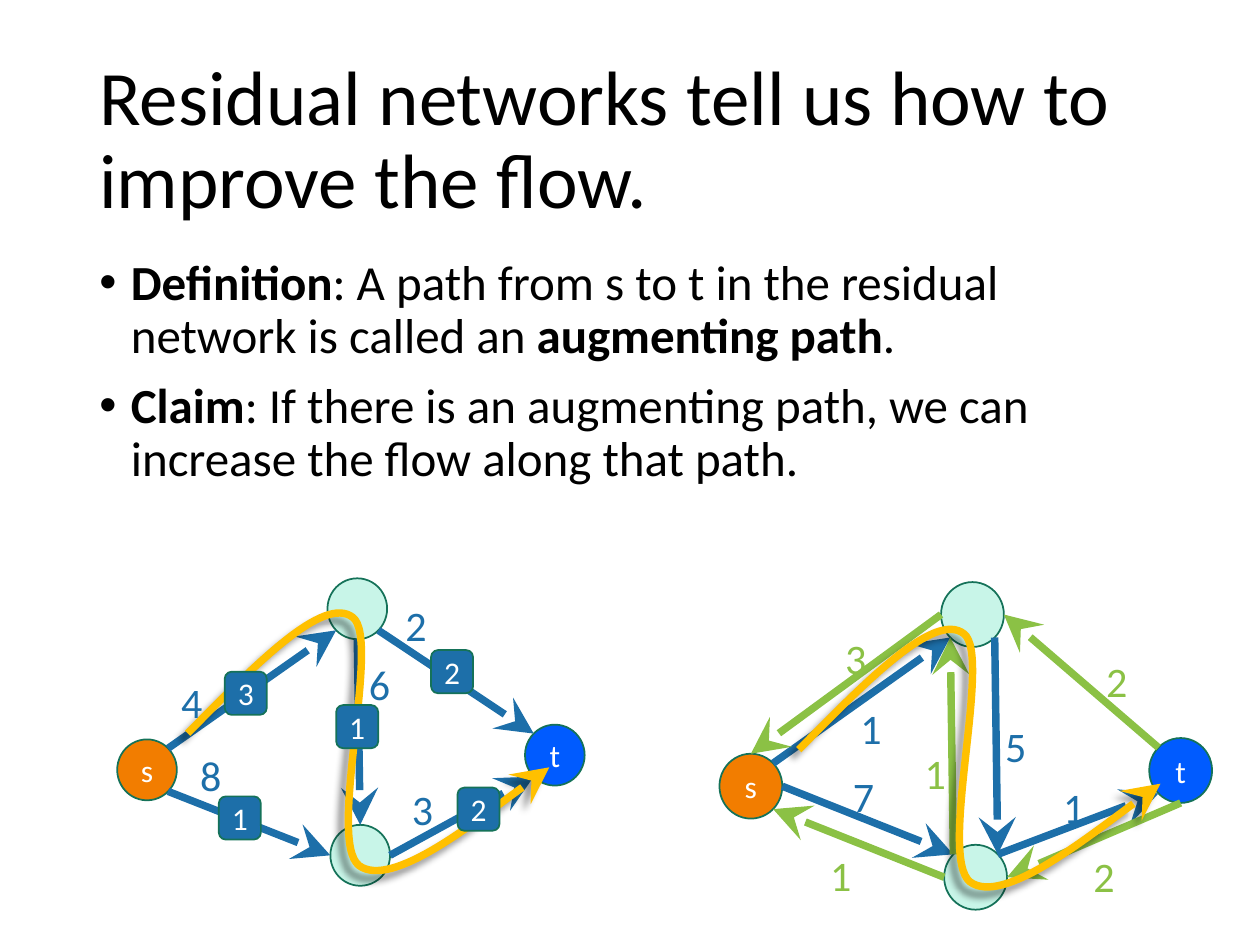
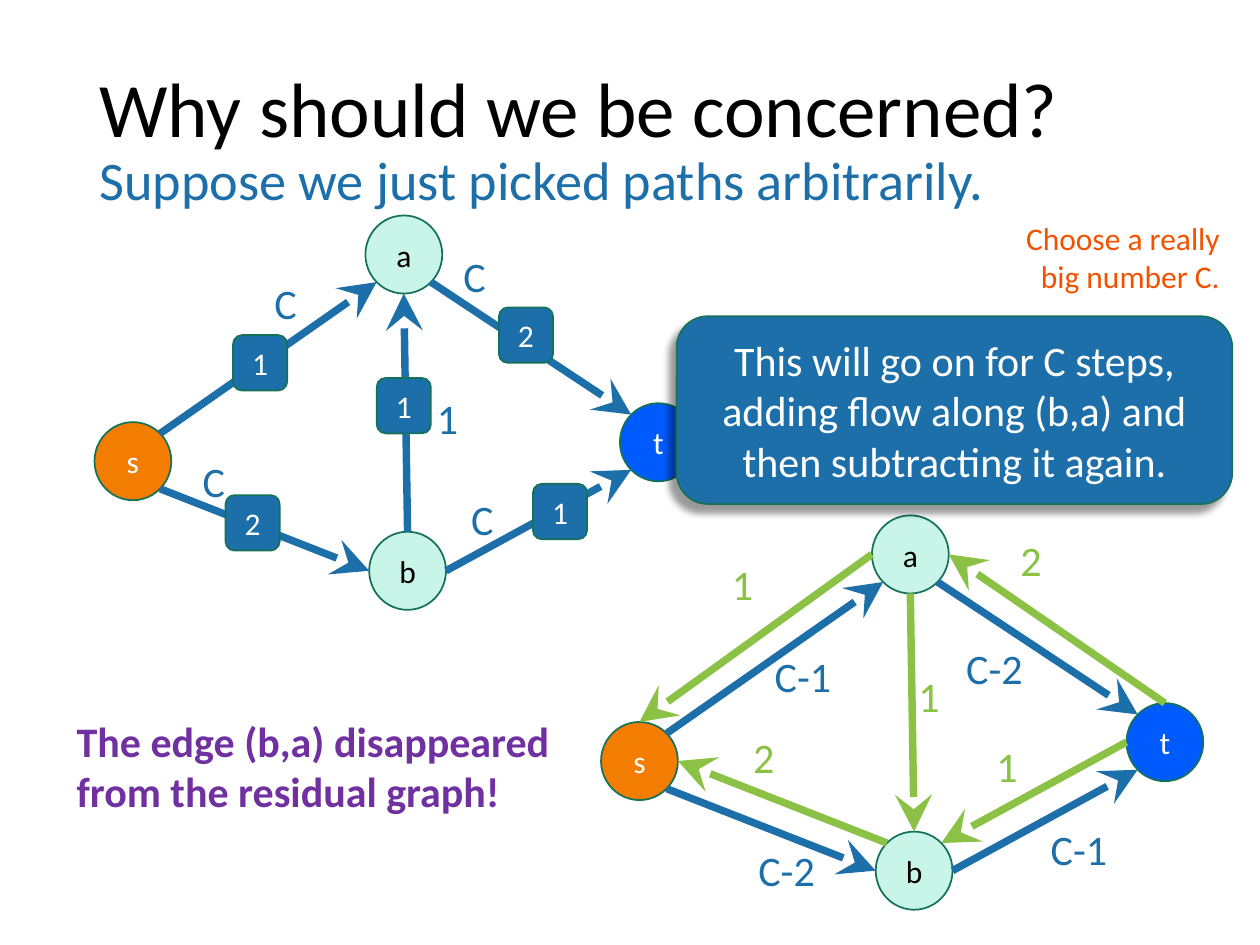
import math

import lxml.etree
import pptx
import pptx.dml.color
import pptx.enum.shapes
import pptx.enum.text
import pptx.oxml.ns
import pptx.util

Inches = pptx.util.Inches
Pt = pptx.util.Pt
KIND = pptx.enum.shapes.MSO_SHAPE
ALIGN = pptx.enum.text.PP_ALIGN
MIDDLE = pptx.enum.text.MSO_ANCHOR.MIDDLE

FONT = "Calibri"
BLACK, WHITE = "000000", "FFFFFF"
BLUE, GREEN, GOLD = "1D6FA9", "8BC145", "FFC000"
EDGE, MINT, AMBER, COBALT = "157259", "C8F5E8", "F27D00", "005BFF"
ORANGE, PURPLE = "F25200", "7030A0"

GRID_W, GRID_H = 4.78, 3.13
NODE_W, NODE_H = 0.61, 0.62
CHIP_W, CHIP_H = 0.43, 0.44
NODES = {
    "s": (0, 1.64, AMBER, WHITE),
    "a": (2.15, 0, MINT, BLACK),
    "b": (2.18, 2.51, MINT, BLACK),
    "t": (4.17, 1.49, COBALT, WHITE),
}
CHIPS = {
    "sa": (1.1, 0.95),
    "sb": (1.04, 2.22),
    "ab": (2.24, 1.29),
    "at": (3.21, 0.73),
    "bt": (3.48, 2.13),
}
CURVE = [(0.54, -0.55), (1.08, -1.1), (1.31, -0.92),
         (1.54, -0.75), (1.1, 0.85), (1.36, 1.05),
         (1.62, 1.24), (2.87, 0.27), (2.87, 0.27)]


def paint(code):
    """Turn a hex string into a colour."""
    return pptx.dml.color.RGBColor.from_string(code)


def add(parent, tag, **attrs):
    """Append a drawing element to a parent element."""
    name = pptx.oxml.ns.qn("a:" + tag)
    return lxml.etree.SubElement(parent, name, {k: str(v) for k, v in attrs.items()})


def style(para, size, color, bold=None):
    """Set the font of a paragraph or run."""
    font = para.font
    font.name, font.size, font.bold = FONT, Pt(size), bold
    font.color.rgb = paint(color)


def write(slide, box, text, size, color, bold=None, align=None):
    """Add a wrapping text box and return its frame."""
    frame = slide.shapes.add_textbox(*map(Inches, box)).text_frame
    frame.word_wrap = True
    para = frame.paragraphs[0]
    para.text = text
    para.alignment = align
    style(para, size, color, bold)
    return frame


def solid(slide, kind, box, fill, text, size, color):
    """Add an outlined shape with centred text."""
    shape = slide.shapes.add_shape(kind, *map(Inches, box))
    shape.shadow.inherit = False
    shape.fill.solid()
    shape.fill.fore_color.rgb = paint(fill)
    shape.line.color.rgb = paint(EDGE)
    shape.line.width = Pt(1)
    frame = shape.text_frame
    frame.vertical_anchor = MIDDLE
    para = frame.paragraphs[0]
    para.text = text
    para.alignment = ALIGN.CENTER
    style(para, size, color)
    return shape


def badge(slide, kind, box, fill, text, color):
    """Add a small shape whose text has no insets."""
    frame = solid(slide, kind, box, fill, text, 18, color).text_frame
    frame.margin_left = frame.margin_right = 0
    frame.margin_top = frame.margin_bottom = 0


def shade(shape):
    """Give a shape a soft shadow to the lower left."""
    shape.shadow.inherit = False
    effect = shape.element.spPr.find(pptx.oxml.ns.qn("a:effectLst"))
    outer = add(effect, "outerShdw", blurRad=Pt(4), dist=Pt(6),
                dir=135 * 60000, algn="tr", rotWithShape=0)
    add(add(outer, "srgbClr", val=BLACK), "alpha", val=40000)


def point(shape, color):
    """Give a line its colour, weight and arrowhead."""
    shape.line.color.rgb = paint(color)
    shape.line.width = Pt(4.25)
    line = shape.element.spPr.find(pptx.oxml.ns.qn("a:ln"))
    add(line, "tailEnd", type="stealth", w="lg", len="lg")


def arrow(slide, start, end, color):
    """Draw a straight arrow."""
    kind = pptx.enum.shapes.MSO_CONNECTOR.STRAIGHT
    link = slide.shapes.add_connector(kind, *map(Inches, start + end))
    point(link, color)
    add(link.element.spPr, "effectLst")


def curve(slide, x, y):
    """Draw the augmenting path from a starting point."""
    spots = [(Inches(x + dx), Inches(y + dy)) for dx, dy in CURVE]
    form = slide.shapes.build_freeform(Inches(x), Inches(y))
    form.add_line_segments(spots, close=False)
    shape = form.convert_to_shape()
    track = shape.element.spPr.xpath(".//a:path")[0]
    steps = list(track)[1:]
    for first in range(0, len(steps), 3):
        bend = add(track, "cubicBezTo")
        for step in steps[first:first + 3]:
            bend.append(step[0])
            track.remove(step)
    shape.fill.background()
    point(shape, GOLD)
    shade(shape)


def graph(slide, box, links, chips, named, start=None):
    """Draw a flow graph scaled to its box, with chips above any path."""
    left, top, width, height = box
    sx, sy = width / GRID_W, height / GRID_H

    def fit(x, y, w, h):
        """Scale a grid box to the slide."""
        return left + x * sx, top + y * sy, w * sx, h * sy

    def site(code):
        """Find a numbered point on the rim of a node."""
        x, y, w, h = fit(*NODES[code[0]][:2], NODE_W, NODE_H)
        turn = math.radians(45 * int(code[1]))
        return (x + w / 2 * (1 - math.sin(turn)),
                y + h / 2 * (1 - math.cos(turn)))

    for name, (x, y, fill, color) in NODES.items():
        text = name if named or name in "st" else ""
        badge(slide, KIND.OVAL, fit(x, y, NODE_W, NODE_H), fill, text, color)
    for color, rows in links.items():
        for tail, head, *_ in rows:
            arrow(slide, site(tail), site(head), color)
    if start:
        curve(slide, left + start[0], top + start[1])
    for key, text in chips.items():
        spot = fit(*CHIPS[key], CHIP_W, CHIP_H)
        badge(slide, KIND.ROUNDED_RECTANGLE, spot, BLUE, text, WHITE)
    for color, rows in links.items():
        for _, _, text, x, y in rows:
            write(slide, (left + x, top + y, 0.8, 0.5), text, 24, color)


def title(slide, text, sub=None):
    """Write the slide title and an optional second line."""
    frame = write(slide, (0.69, 0.4, 8.62, 1.45), text, 44, BLACK)
    frame.vertical_anchor = MIDDLE
    para = frame.paragraphs[0]
    para.line_spacing = 0.9
    if sub:
        para.add_line_break()
        run = para.add_run()
        run.text = sub
        style(run, 31, BLUE)


def bullets(slide, box, items):
    """Write bulleted paragraphs of plain and bold runs."""
    frame = write(slide, box, "", 28, BLACK)
    for index, parts in enumerate(items):
        para = frame.add_paragraph() if index else frame.paragraphs[0]
        para.line_spacing = 0.9
        if index:
            para.space_before = Pt(10)
        props = para._p.get_or_add_pPr()
        props.set("marL", str(Inches(0.25)))
        props.set("indent", str(Inches(-0.25)))
        for old in props.findall(pptx.oxml.ns.qn("a:defRPr")):
            props.remove(old)
        add(props, "buFont", typeface="Arial")
        add(props, "buChar", char="•")
        style(para, 28, BLACK)
        for place, text in enumerate(parts):
            run = para.add_run()
            run.text = text
            run.font.bold = place % 2 == 0


def improve(slide):
    """Build the slide on augmenting paths."""
    title(slide, "Residual networks tell us how to improve the flow.")
    bullets(slide, (0.69, 2, 8.62, 4.76), [
        ("Definition",
         ": A path from s to t in the residual network is called an ",
         "augmenting path", "."),
        ("Claim", ": If there is an augmenting path, we can increase "
                  "the flow along that path."),
    ])
    rest = {
        BLUE: [("s7", "a3", "1", 1.02, 0.91), ("s6", "b1", "7", 0.96, 1.45),
               ("a5", "b7", "5", 2.17, 1.05), ("b7", "t3", "1", 2.63, 1.53)],
        GREEN: [("a2", "s0", "3", 0.9, 0.35), ("b2", "s5", "1", 0.78, 2.07),
                ("b1", "a3", "1", 1.53, 1.26), ("t1", "a6", "2", 2.97, 0.53),
                ("t4", "b6", "2", 2.87, 2.08)],
    }
    flow = {
        BLUE: [("s7", "a3", "4", 0.41, 0.73), ("s5", "b2", "8", 0.56, 1.31),
               ("a4", "b0", "6", 1.9, 0.59), ("a5", "t1", "2", 2.19, 0.12),
               ("b6", "t3", "3", 2.24, 1.58)],
    }
    chips = {"sa": "3", "sb": "1", "ab": "1", "at": "2", "bt": "2"}
    graph(slide, (5.71, 4.62, 3.91, 2.6), rest, {}, False, (0.63, 1.33))
    graph(slide, (0.93, 4.59, 3.71, 2.44), flow, chips, False, (0.56, 1.23))


def concern(slide):
    """Build the slide on arbitrary paths."""
    title(slide, "Why should we be concerned?",
          "Suppose we just picked paths arbitrarily.")
    flow = {
        BLUE: [("s7", "a3", "C", 1.33, 0.44), ("s5", "b2", "C", 0.76, 1.86),
               ("b0", "a4", "1", 2.62, 1.36), ("a5", "t1", "C", 2.83, 0.23),
               ("b6", "t3", "C", 2.89, 2.16)],
    }
    rest = {
        BLUE: [("s7", "a3", "C-1", 1.28, 1.02), ("s5", "b2", "C-2", 1.15, 2.56),
               ("a5", "t1", "C-2", 2.8, 0.96), ("b6", "t3", "C-1", 3.47, 2.4)],
        GREEN: [("a2", "s0", "1", 0.94, 0.29), ("b1", "s6", "2", 1.11, 1.67),
                ("a4", "b0", "1", 2.42, 1.18), ("t0", "a6", "2", 3.23, 0.1),
                ("t2", "b7", "1", 3.04, 1.74)],
    }
    chips = {"sa": "1", "sb": "2", "ab": "1", "at": "2", "bt": "1"}
    graph(slide, (0.75, 1.71, GRID_W, GRID_H), flow, chips, True)
    graph(slide, (4.77, 4.09, GRID_W, GRID_H), rest, {}, True)
    write(slide, (7.7, 1.69, 2.08, 0.71), "Choose a really big number C.",
          18, ORANGE, align=ALIGN.RIGHT)
    write(slide, (0.51, 5.63, 4.13, 0.91),
          "The edge (b,a) disappeared from the residual graph!",
          24, PURPLE, bold=True)
    card = solid(slide, KIND.ROUNDED_RECTANGLE, (5.37, 2.51, 4.41, 1.49), BLUE,
                 "This will go on for C steps, adding flow along (b,a) "
                 "and then subtracting it again.", 24, WHITE)
    shade(card)


def main():
    """Build and save the slides."""
    deck = pptx.Presentation()
    deck.slide_width, deck.slide_height = Inches(10), Inches(7.5)
    for build in (improve, concern):
        build(deck.slides.add_slide(deck.slide_layouts[6]))
    deck.save("out.pptx")


if __name__ == "__main__":
    main()
